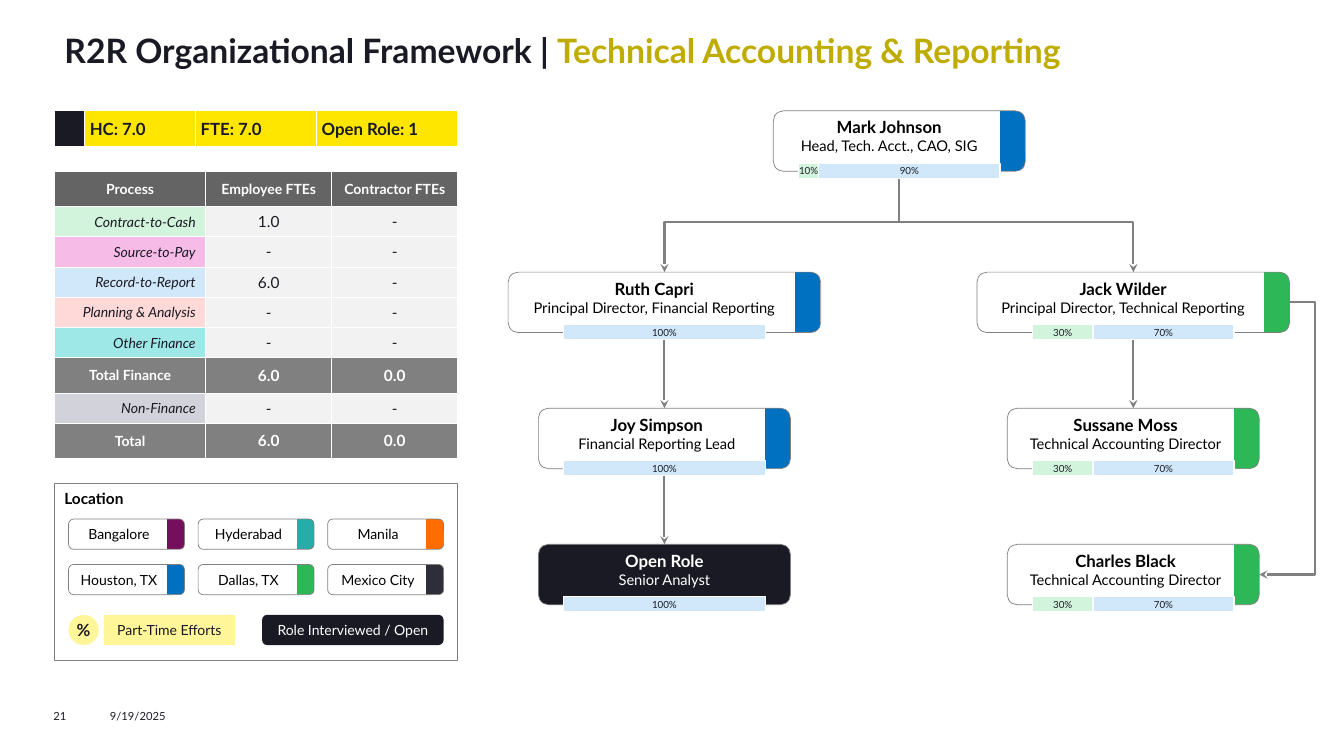
from lxml.etree import SubElement
from pptx import Presentation
from pptx.dml.color import RGBColor
from pptx.enum.shapes import MSO_CONNECTOR, MSO_SHAPE
from pptx.enum.text import MSO_ANCHOR, PP_ALIGN
from pptx.oxml.ns import qn
from pptx.util import Inches, Pt

THEME = {
    "font": "Lato",
    "ink": "1A1A24", "black": "000000", "white": "FFFFFF", "gold": "BFAC00",
    "yellow": "FFE600", "pale_yellow": "FFF599", "header": "646464",
    "gray": "808080", "cell": "F2F2F2",
    "green": "2DB757", "blue": "0070C0", "teal": "27ACAA",
    "orange": "FF6D00", "purple": "750E5C", "charcoal": "2E2E38",
    "mint": "D2F4DC", "pink": "F7BBE8", "sky": "D0E8FA",
    "rose": "FFD9D7", "aqua": "9EE9E8", "lilac": "D2D2DA",
    "title": 24, "name": 12, "heading": 11, "role": 10.5, "label": 10,
    "footer": 8, "share": 7,
}


def write(frame, lines, color, align=PP_ALIGN.CENTER, anchor=MSO_ANCHOR.MIDDLE,
          margins=(0.05, 0.05, 0.05, 0.05), wrap=True):
    """Fill a frame or table cell; a line is (text, size name, style letters b and i)."""
    (frame.margin_left, frame.margin_top,
     frame.margin_right, frame.margin_bottom) = map(Inches, margins)
    frame.vertical_anchor = anchor
    body = getattr(frame, "text_frame", frame)
    if body is frame:
        body.word_wrap = wrap
    body.text = "\n".join(line[0] for line in lines)
    for para, (_, size, style) in zip(body.paragraphs, lines):
        para.alignment = align
        for span in para.runs:
            span.font.name = THEME["font"]
            span.font.size = Pt(THEME[size])
            span.font.bold = "b" in style
            span.font.italic = "i" in style
            span.font.color.rgb = RGBColor.from_string(THEME[color])


def add_box(shapes, kind, at, fill=None, line=None, weight=0.5, band=None):
    """Add a shape; band = (share, color) paints its right end from that share on."""
    box = shapes.add_shape(kind, *map(Inches, at))
    box.shadow.inherit = False
    if band:
        box.fill.gradient()
        box.fill.gradient_angle = 0
        for stop, color in zip(box.fill.gradient_stops, (fill, band[1])):
            stop.position = band[0]
            stop.color.rgb = RGBColor.from_string(THEME[color])
    elif fill:
        box.fill.solid()
        box.fill.fore_color.rgb = RGBColor.from_string(THEME[fill])
    else:
        box.fill.background()
    if line:
        box.line.color.rgb = RGBColor.from_string(THEME[line])
        box.line.width = Pt(weight)
    else:
        box.line.fill.background()
    return box


deck = Presentation()
deck.slide_width, deck.slide_height = Inches(13.33), Inches(7.5)
page = deck.slides.add_slide(deck.slide_layouts[6])
LEFT, PANEL = 0.54, 4

# Title and footer
for text, at, size, style, margins in (
    ("R2R Organizational Framework | ", (LEFT, 0.25, 12.25, 0.6), "title", "b", (0.1, 0.05, 0.1, 0)),
    ("9/19/2025", (1.09, 7.04, 1.4, 0.13), "footer", "", (0, 0, 0, 0)),
    ("21", (0.53, 7.04, 0.56, 0.13), "footer", "", (0, 0, 0, 0)),
):
    box = page.shapes.add_textbox(*map(Inches, at))
    write(box.text_frame, [(text, size, style)], "ink", PP_ALIGN.LEFT, MSO_ANCHOR.TOP, margins)
    if size == "title":
        span = box.text_frame.paragraphs[0].add_run()
        span.text = "Technical Accounting & Reporting"
        span.font.name, span.font.size, span.font.bold = THEME["font"], Pt(THEME["title"]), True
        span.font.color.rgb = RGBColor.from_string(THEME["gold"])

# Tables: each cell is (text, size, style, color, fill, alignment, side margin)
headcount = [[("", "name", "", "ink", "ink", PP_ALIGN.LEFT, 0)] + [
    (text, "name", "b", "ink", "yellow", PP_ALIGN.LEFT, 0.05)
    for text in ("HC: 7.0", "FTE: 7.0", "Open Role: 1")]]

processes = [[(text, "label", "b", "white", "header", PP_ALIGN.CENTER, 0.05)
              for text in ("Process", "Employee FTEs", "Contractor FTEs")]]
for process, employees, contractors, fill in (
    ("Contract-to-Cash", "1.0", "-", "mint"),
    ("Source-to-Pay", "-", "-", "pink"),
    ("Record-to-Report", "6.0", "-", "sky"),
    ("Planning & Analysis", "-", "-", "rose"),
    ("Other Finance", "-", "-", "aqua"),
    ("Total Finance", "6.0", "0.0", "gray"),
    ("Non-Finance", "-", "-", "lilac"),
    ("Total", "6.0", "0.0", "gray"),
):
    total = fill == "gray"
    style, color, margin = ("b", "white", 0.05) if total else ("", "ink", 0.1)
    processes.append(
        [(process, "label", style or "i", color, fill,
          PP_ALIGN.CENTER if total else PP_ALIGN.RIGHT, margin)]
        + [(value, "heading", style, color, "gray" if total else "cell", PP_ALIGN.CENTER, margin)
           for value in (employees, contractors)])

for top, widths, heights, rows in (
    (1.1, (0.3, 1.1, 1.2, 1.4), (0.35,), headcount),
    (1.7, (1.5, 1.25, 1.25), (0.35,) + (0.3,) * 5 + (0.35, 0.3, 0.35), processes),
):
    table = page.shapes.add_table(len(heights), len(widths), Inches(LEFT), Inches(top),
                                  Inches(PANEL), Inches(sum(heights))).table
    table.first_row = table.horz_banding = False
    for column, width in zip(table.columns, widths):
        column.width = Inches(width)
    for row, height, contents in zip(table.rows, heights, rows):
        row.height = Inches(height)
        for cell, (text, size, style, color, fill, align, side) in zip(row.cells, contents):
            edge = 0.05 if text else 0
            write(cell, [(text, size, style)], color, align, margins=(side, edge, side, edge))
            for border in ("a:lnL", "a:lnR", "a:lnT", "a:lnB"):
                line = SubElement(cell._tc.get_or_add_tcPr(), qn(border), w=str(Pt(1)))
                SubElement(SubElement(line, qn("a:solidFill")), qn("a:srgbClr"), val=THEME["white"])
            cell.fill.solid()
            cell.fill.fore_color.rgb = RGBColor.from_string(THEME[fill])

# Location legend
panel = add_box(page.shapes, MSO_SHAPE.RECTANGLE, (LEFT, 4.8, PANEL, 1.75), line="gray", weight=0.75)
write(panel.text_frame, [("Location", "heading", "b")], "black", PP_ALIGN.LEFT, MSO_ANCHOR.TOP,
      (0.1, 0.05, 0.1, 0.05))
LEGEND_LEFT, CHIP_HEIGHT = 0.68, 0.3
for index, (place, color) in enumerate((
    ("Bangalore", "purple"), ("Hyderabad", "teal"), ("Manila", "orange"),
    ("Houston, TX", "blue"), ("Dallas, TX", "green"), ("Mexico City", "charcoal"),
)):
    row, column = divmod(index, 3)
    at = (LEGEND_LEFT + column * 1.285, 5.15 + row * 0.45, 1.15, CHIP_HEIGHT)
    chip = add_box(page.shapes, MSO_SHAPE.ROUNDED_RECTANGLE, at, "white", "gray", band=(0.85, color))
    write(chip.text_frame, [(place, "label", "")], "black", margins=(0.05, 0.05, 0.2, 0.05))

for text, kind, left, width, fill, color, size, style, margin in (
    ("%", MSO_SHAPE.OVAL, LEGEND_LEFT, 0.3, "pale_yellow", "ink", "name", "b", 0),
    ("Part-Time Efforts", MSO_SHAPE.RECTANGLE, 1.03, 1.3, "pale_yellow", "ink", "label", "", 0.05),
    ("Role Interviewed / Open", MSO_SHAPE.ROUNDED_RECTANGLE, 2.6, 1.8, "ink", "white", "label", "", 0.05),
):
    key = add_box(page.shapes, kind, (left, 6.1, width, CHIP_HEIGHT), fill)
    write(key.text_frame, [(text, size, style)], color, margins=(margin,) * 4)

# Organization chart: three centre lines, four tiers
REPORTING, HEAD, TECHNICAL = 6.59, 8.92, 11.24
TIERS = (1.1, 2.7, 4.05, 5.4)
CARD_HEIGHT, NARROW, WIDE, STRIP = 0.6, 2.5, 3.1, 2

# Connectors: start, end, quarter turns (None = straight), bend share
links = [((center, TIERS[tier] + CARD_HEIGHT), (center, TIERS[tier + 1]), None, None)
         for center, tier in ((REPORTING, 1), (REPORTING, 2), (TECHNICAL, 1))]
links += [((HEAD, TIERS[0] + CARD_HEIGHT), (center, TIERS[1]), turns, 0.5)
          for center, turns in ((REPORTING, 1), (TECHNICAL, 3))]
links.append(((TECHNICAL + WIDE / 2, TIERS[1] + CARD_HEIGHT / 2),
              (TECHNICAL + NARROW / 2, TIERS[3] + CARD_HEIGHT / 2), 0, -0.83))
for (x1, y1), (x2, y2), turns, bend in links:
    if turns:  # a turned elbow is laid out with its width and height swapped
        middle_x, middle_y = (x1 + x2) / 2, (y1 + y2) / 2
        half_width, half_height = (y2 - y1) / 2, abs(x2 - x1) / 2
        side = -1 if turns == 1 else 1
        x1, x2 = middle_x + side * half_width, middle_x - side * half_width
        y1, y2 = middle_y - half_height, middle_y + half_height
    kind = MSO_CONNECTOR.STRAIGHT if turns is None else MSO_CONNECTOR.ELBOW
    link = page.shapes.add_connector(kind, *map(Inches, (x1, y1, x2, y2)))
    link.line.color.rgb = RGBColor.from_string(THEME["gray"])
    link.line.width = Pt(1.5)
    properties = link._element.spPr
    SubElement(properties.find(qn("a:ln")), qn("a:tailEnd"), type="stealth")
    SubElement(properties, qn("a:effectLst"))
    if turns is not None:
        properties.find(qn("a:xfrm")).set("rot", str(turns * 90 * 60000))
        SubElement(properties.find(qn("a:prstGeom")).find(qn("a:avLst")), qn("a:gd"),
                   name="adj1", fmla=f"val {round(bend * 100000)}")

for name, role, center, tier, width, color, part_time, inset in (
    ("Mark Johnson", "Head, Tech. Acct., CAO, SIG", HEAD, 0, NARROW, "blue", 10, 0.25),
    ("Ruth Capri", "Principal Director, Financial Reporting", REPORTING, 1, WIDE, "blue", 0, 0.25),
    ("Jack Wilder", "Principal Director, Technical Reporting", TECHNICAL, 1, WIDE, "green", 30, 0.25),
    ("Joy Simpson", "Financial Reporting Lead", REPORTING, 2, NARROW, "blue", 0, 0.2),
    ("Open Role", "Senior Analyst", REPORTING, 3, NARROW, None, 0, 0.05),
    ("Sussane Moss", "Technical Accounting Director", TECHNICAL, 2, NARROW, "green", 30, 0.2),
    ("Charles Black", "Technical Accounting Director", TECHNICAL, 3, NARROW, "green", 30, 0.2),
):
    group = page.shapes.add_group_shape().shapes
    at = (center - width / 2, TIERS[tier], width, CARD_HEIGHT)
    card = add_box(group, MSO_SHAPE.ROUNDED_RECTANGLE, at, "white" if color else "ink", "gray",
                   band=color and (1 - 0.25 / width, color))
    write(card.text_frame, [(name, "name", "b"), (role, "role", "")],
          "black" if color else "white", margins=(0.05, 0.05, inset, 0.15))
    left = center - STRIP / 2
    for percent, fill in ((part_time, "mint"), (100 - part_time, "sky")):
        if percent:
            length = STRIP * percent / 100
            share = add_box(group, MSO_SHAPE.RECTANGLE, (left, TIERS[tier] + 0.52, length, 0.15),
                            fill, "white", 1)
            write(share.text_frame, [(f"{percent}%", "share", "")], "ink",
                  margins=(0, 0, 0, 0), wrap=False)
            left += length

deck.save("out.pptx")
